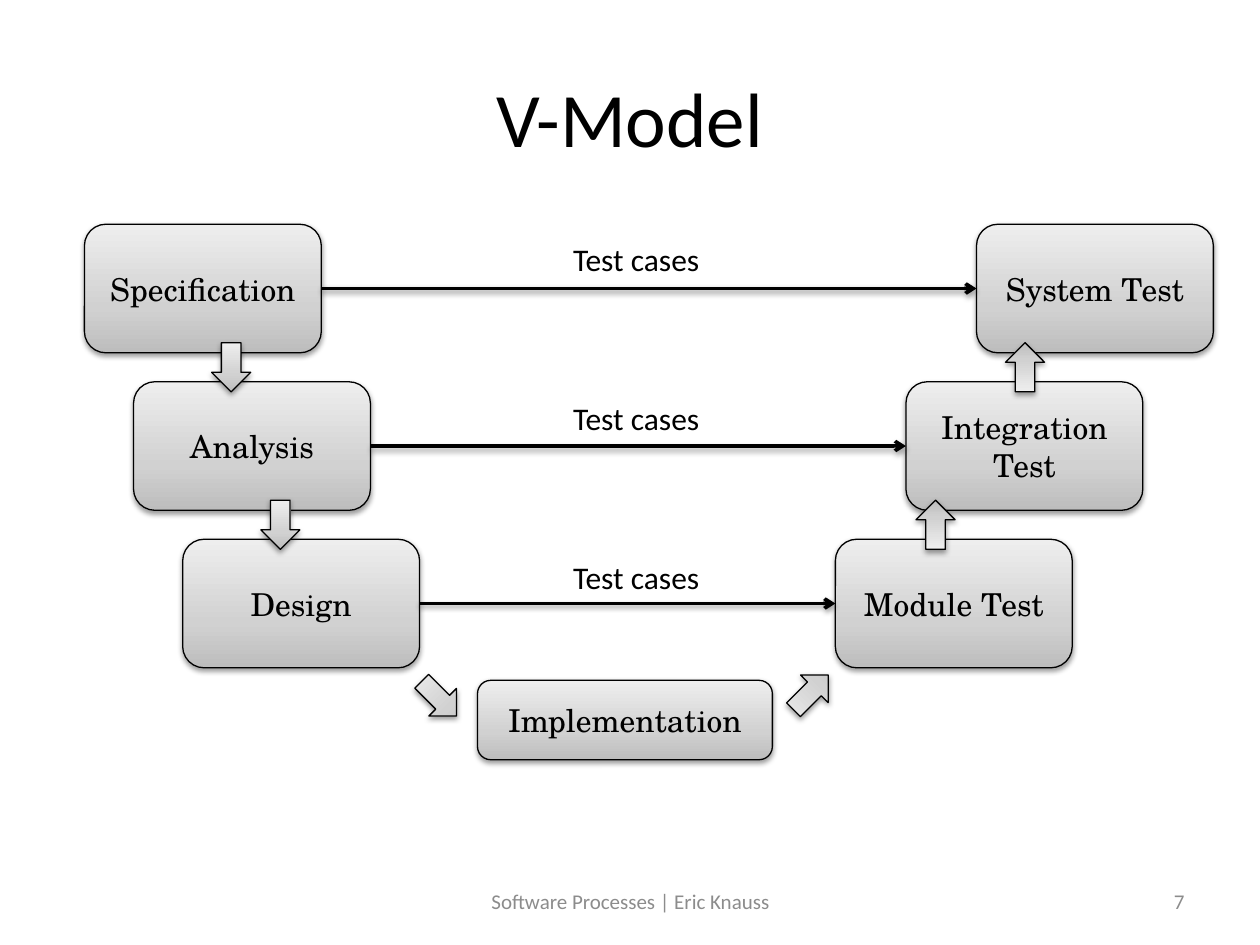
from copy import deepcopy

from lxml import etree
from pptx import Presentation, util as u
from pptx.dml.color import RGBColor
from pptx.enum import shapes, text
from pptx.oxml.ns import qn

BLACK, GREY = "000000", "8C8C8C"
GRADIENT = [(0, "BDBDBD"), (0.35, "D1D1D1"), (1, "EEEEEE")]
SANS, SERIF = "Calibri", "TeX Gyre Schola"
ROW_TOP, ROW_STEP = 1.78, 1.25
STAGE_W, STAGE_H = 1.88, 1.02
ARROW_W, ARROW_H = 0.31, 0.39
STAGES = [("Specification", "System Test"), ("Analysis", "Integration Test"), ("Design", "Module Test")]


def rgb(value):
    return RGBColor.from_string(value)


def inches(box):
    return [u.Inches(v) for v in box]


def write(tf, words, align, size=18, font=SANS, color=BLACK, **frame):
    for name, value in frame.items():
        setattr(tf, name, value)
    p = tf.paragraphs[0]
    p.alignment = align
    r = p.add_run()
    r.text = words
    for name, value in {"size": u.Pt(size), "name": font}.items():
        setattr(r.font, name, value)
    r.font.color.rgb = rgb(color)


def add_shadow(sp):
    spPr = sp._element.spPr
    effects = spPr.find(qn("a:effectLst"))
    if effects is None:
        effects = etree.SubElement(spPr, qn("a:effectLst"))
    shadow = etree.SubElement(effects, qn("a:outerShdw"), blurRad=str(u.Pt(3.1)),
                              dist=str(u.Pt(1.6)), dir="5400000", rotWithShape="0")
    color = etree.SubElement(shadow, qn("a:srgbClr"), val=BLACK)
    etree.SubElement(color, qn("a:alpha"), val="38000")


def set_line(sp, width):
    sp.line.color.rgb = rgb(BLACK)
    sp.line.width = u.Pt(width)


def add_shape(s, kind, box):
    sp = s.shapes.add_shape(kind, *inches(box))
    sp.fill.gradient()
    sp.fill.gradient_angle = 90
    stops = sp._element.spPr.find(".//" + qn("a:gsLst"))
    stops.append(deepcopy(stops[0]))
    for stop, (position, color) in zip(sp.fill.gradient_stops, GRADIENT):
        stop.position = position
        stop.color.rgb = rgb(color)
    set_line(sp, 0.75)
    sp.shadow.inherit = False
    add_shadow(sp)
    return sp


def add_stage(s, box, words):
    sp = add_shape(s, shapes.MSO_SHAPE.ROUNDED_RECTANGLE, box)
    write(sp.text_frame, words, text.PP_ALIGN.CENTER, font=SERIF,
          word_wrap=True, vertical_anchor=text.MSO_ANCHOR.MIDDLE)
    return sp


def add_block_arrow(s, left, top, rotation=0):
    sp = add_shape(s, shapes.MSO_SHAPE.DOWN_ARROW, (left, top, ARROW_W, ARROW_H))
    sp.rotation = rotation


def add_label(s, box, words, align, **style):
    sp = s.shapes.add_textbox(*inches(box))
    write(sp.text_frame, words, align, **style)


def add_test_link(s, start, end):
    line = s.shapes.add_connector(shapes.MSO_CONNECTOR.STRAIGHT, 0, 0, 0, 0)
    line.begin_connect(start, 3)
    line.end_connect(end, 1)
    set_line(line, 2)
    etree.SubElement(line.line._get_or_add_ln(), qn("a:tailEnd"), type="arrow")
    add_shadow(line)


def add_row(s, box, names):
    left, top, width, height = box
    development = add_stage(s, (left, top, STAGE_W, height), names[0])
    test = add_stage(s, (left + width - STAGE_W, top, STAGE_W, height), names[1])
    add_test_link(s, development, test)


def add_v_model(s, box):
    left, top, width, _ = box
    for i, names in enumerate(STAGES):
        y = top + ROW_STEP * i
        add_row(s, (left + 0.39 * i, y, width - 0.95 * i, STAGE_H), names)
        add_label(s, (4.45, top + 0.08 + 1.26 * i, 1.24, 0.4), "Test cases", text.PP_ALIGN.LEFT,
                  word_wrap=False, auto_size=text.MSO_AUTO_SIZE.SHAPE_TO_FIT_TEXT)
    for i, up_left in enumerate((7.98, 7.27)):
        y = top + 0.94 + ROW_STEP * i
        add_block_arrow(s, left + 1.01 + 0.39 * i, y)
        add_block_arrow(s, up_left, y, 180)
    add_stage(s, (3.79, top + 3.62, 2.34, 0.63), "Implementation")
    add_block_arrow(s, 3.33, top + 3.57, 315)
    add_block_arrow(s, 6.28, top + 3.52, 225)


def add_title(s, box, words):
    title = s.shapes.title
    for name, value in zip(("left", "top", "width", "height"), inches(box)):
        setattr(title, name, value)
    write(title.text_frame, words, text.PP_ALIGN.CENTER, size=44,
          vertical_anchor=text.MSO_ANCHOR.MIDDLE)


def add_footer(s, box):
    left, top, width, height = box
    style = {"size": 12, "color": GREY, "word_wrap": True,
             "vertical_anchor": text.MSO_ANCHOR.MIDDLE}
    add_label(s, (left, top, 3.17, height), "Software Processes | Eric Knauss",
              text.PP_ALIGN.CENTER, **style)
    add_label(s, (left + width - 2.33, top, 2.33, height), "7", text.PP_ALIGN.RIGHT, **style)


def main():
    prs = Presentation()
    prs.slide_width, prs.slide_height = u.Inches(10), u.Inches(7.5)
    s = prs.slides.add_slide(prs.slide_layouts[5])
    add_title(s, (0.5, 0.3, 9, 1.25), "V-Model")
    add_v_model(s, (0.67, ROW_TOP, 8.96, 4.25))
    add_footer(s, (3.42, 6.95, 6.08, 0.4))
    prs.save("out.pptx")


if __name__ == "__main__":
    main()
